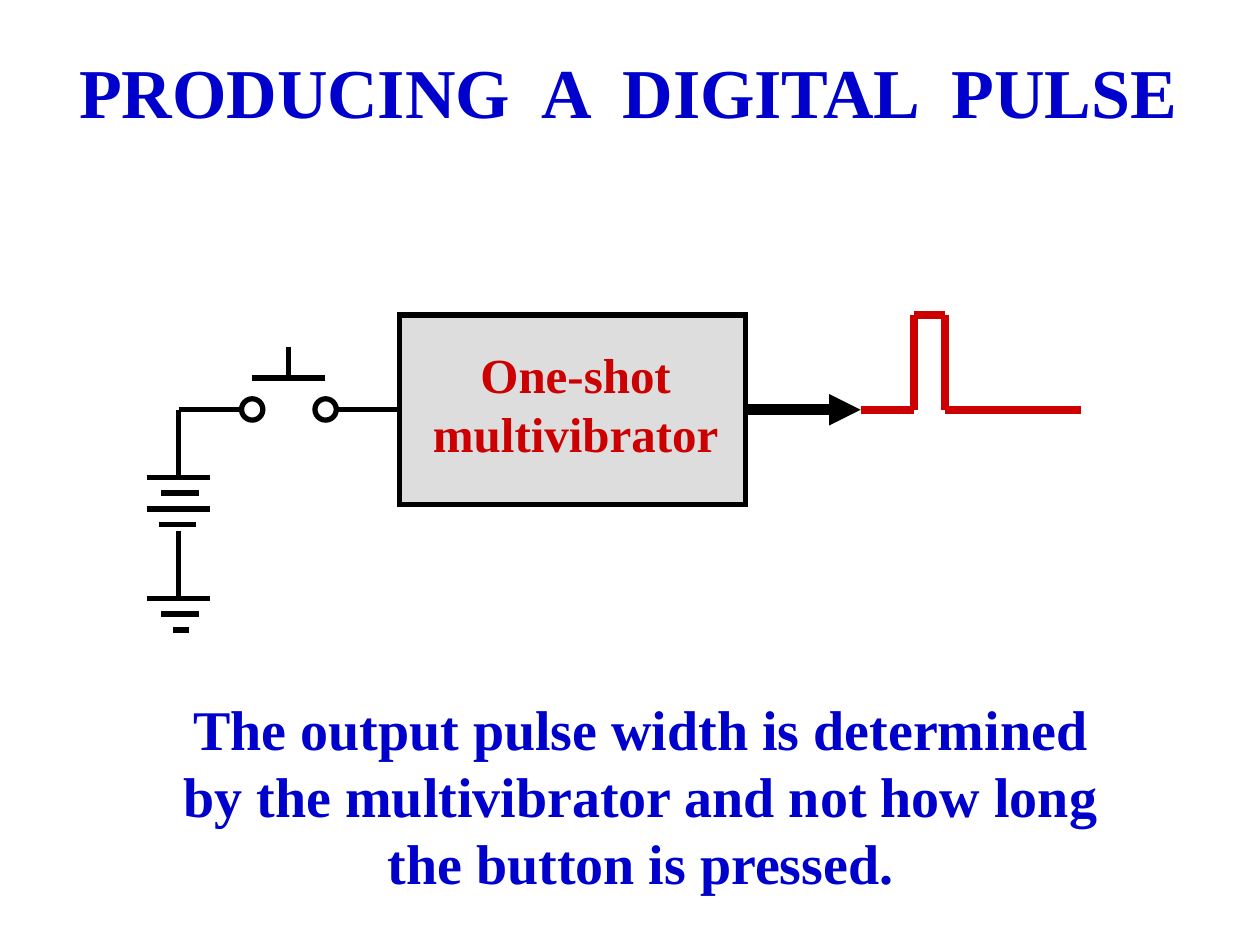
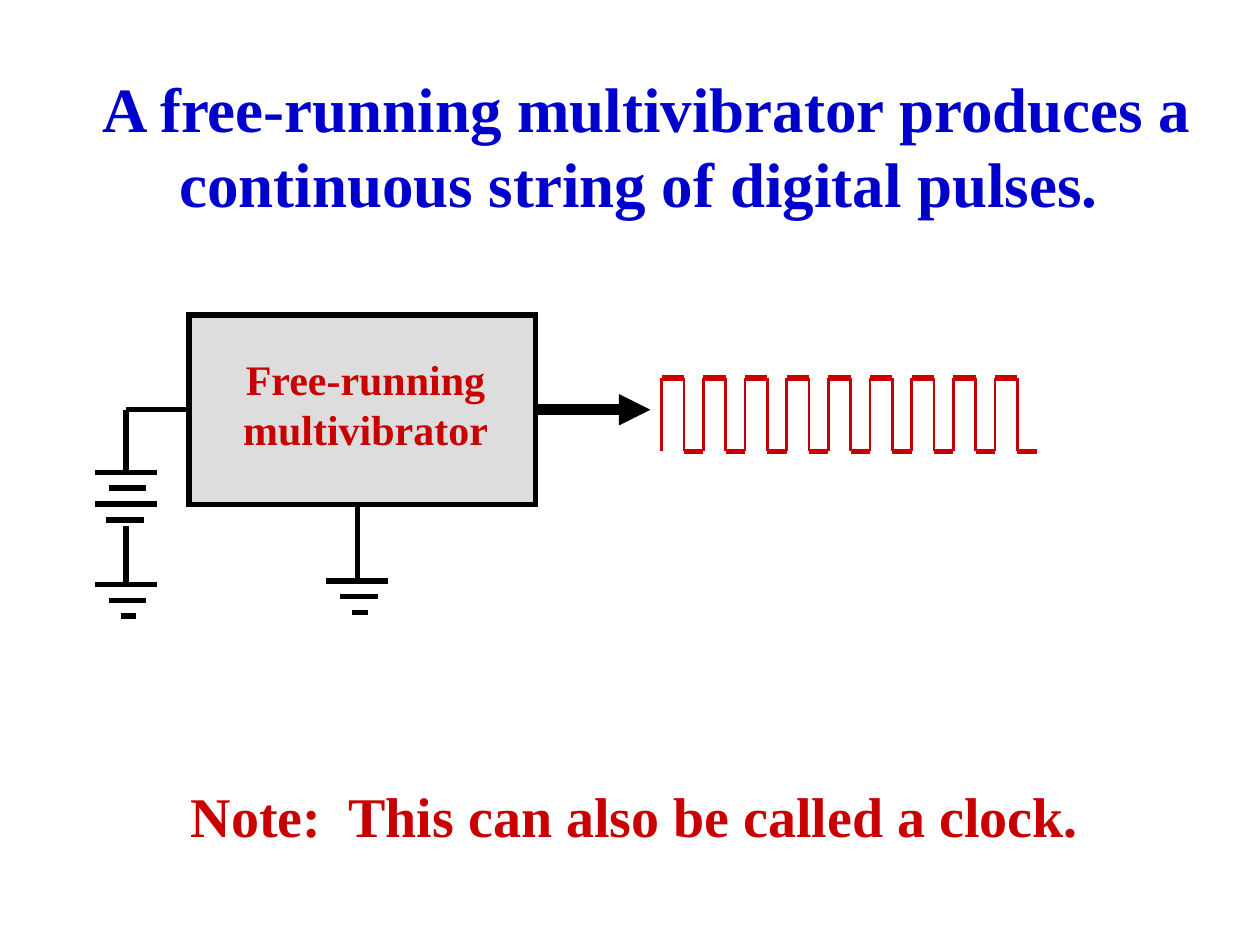
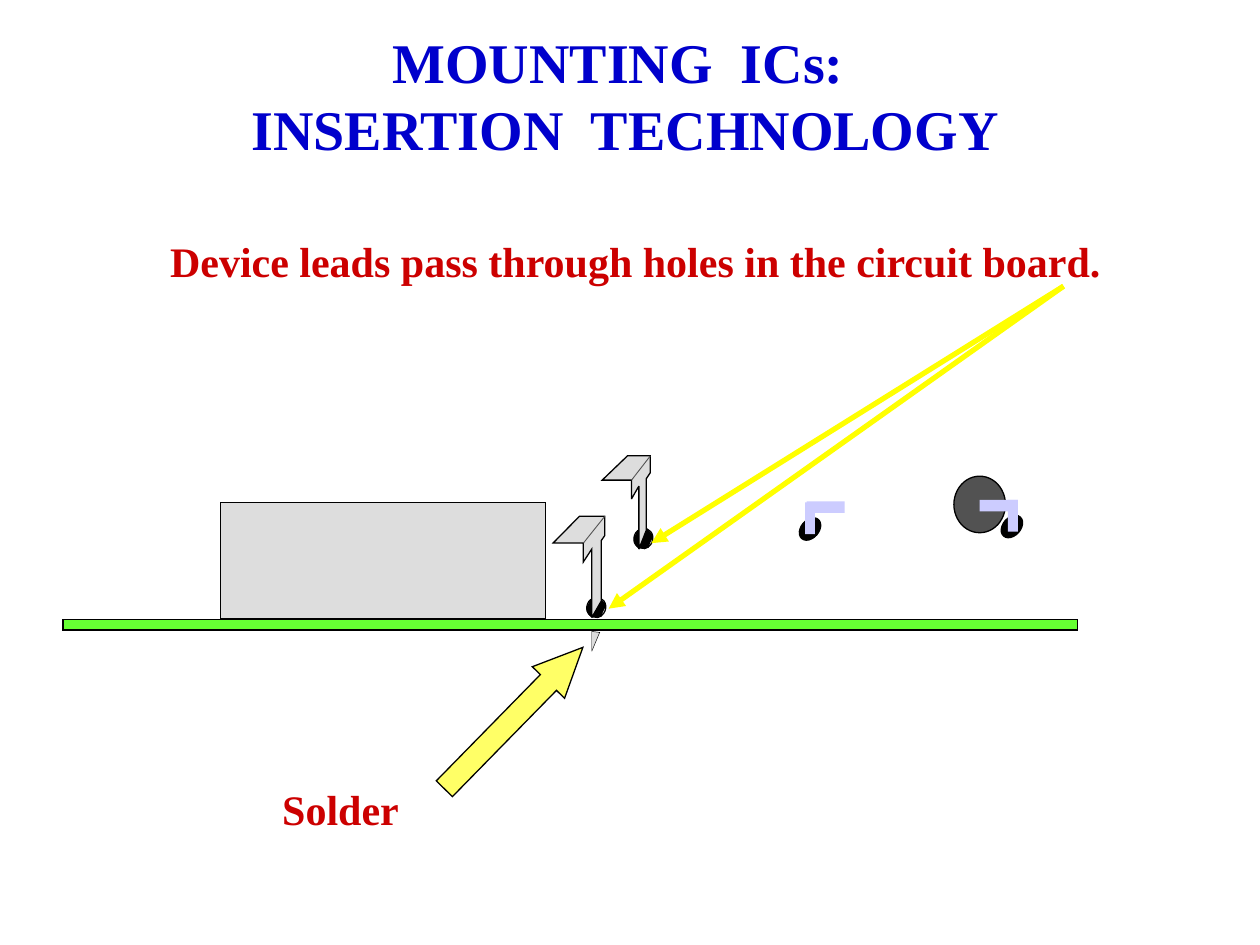
import itertools

import lxml.etree
import pptx
import pptx.dml.color
import pptx.enum.shapes
import pptx.enum.text
import pptx.oxml.ns
import pptx.util

Cm = pptx.util.Cm
RGBColor = pptx.dml.color.RGBColor
SHAPE = pptx.enum.shapes.MSO_SHAPE
ALIGN = pptx.enum.text.PP_ALIGN
ANCHOR = pptx.enum.text.MSO_ANCHOR

BLACK = RGBColor(0x00, 0x00, 0x00)
WHITE = RGBColor(0xFF, 0xFF, 0xFF)
BLUE = RGBColor(0x00, 0x00, 0xCC)
RED = RGBColor(0xCC, 0x00, 0x00)
DEEP_RED = RGBColor(0xC8, 0x00, 0x00)
LIGHT_GRAY = RGBColor(0xDD, 0xDD, 0xDD)
DARK_GRAY = RGBColor(0x52, 0x52, 0x52)
GREEN = RGBColor(0x66, 0xFF, 0x33)
YELLOW = RGBColor(0xFF, 0xFF, 0x00)
PALE_YELLOW = RGBColor(0xFF, 0xFF, 0x66)
LAVENDER = RGBColor(0xCC, 0xCC, 0xFF)

FONT = "Times New Roman"
TOP, LEFT, BOTTOM, RIGHT = range(4)
BAR_STEP = 0.32
LONG_BAR = (-0.63, 0.63)
SHORT_BAR = (-0.35, 0.41)
LAST_CELL_BAR = (-0.4, 0.36)
TINY_BAR = (-0.11, 0.21)
BATTERY = (LONG_BAR, SHORT_BAR, LONG_BAR, LAST_CELL_BAR)
GROUND = (LONG_BAR, SHORT_BAR, TINY_BAR)
SIGNAL_Y = 8.26


class Deck:
    def __init__(self):
        self.presentation = pptx.Presentation()
        self.presentation.slide_width = Cm(25.4)
        self.presentation.slide_height = Cm(19.05)
        self.slide = None

    def new_slide(self):
        self.slide = self.presentation.slides.add_slide(self.presentation.slide_layouts[6])

    def text(self, lines, left, top, width, height, size, color,
             align=ALIGN.CENTER, anchor=ANCHOR.MIDDLE, wrap=False):
        box = self.slide.shapes.add_textbox(Cm(left), Cm(top), Cm(width), Cm(height))
        frame = box.text_frame
        frame.word_wrap = wrap
        frame.auto_size = pptx.enum.text.MSO_AUTO_SIZE.SHAPE_TO_FIT_TEXT
        frame.vertical_anchor = anchor
        frame.text = "\n".join(lines)
        for paragraph in frame.paragraphs:
            paragraph.alignment = align
            paragraph.font.name = FONT
            paragraph.font.size = pptx.util.Pt(size)
            paragraph.font.bold = True
            paragraph.font.color.rgb = color

    def paint(self, shape, fill, line_width, rotation=0):
        shape.shadow.inherit = False
        shape.rotation = rotation
        if fill is None:
            shape.fill.background()
        else:
            shape.fill.solid()
            shape.fill.fore_color.rgb = fill
        if line_width:
            shape.line.color.rgb = BLACK
            shape.line.width = pptx.util.Pt(line_width)
            lxml.etree.SubElement(shape.line._get_or_add_ln(),
                                  pptx.oxml.ns.qn("a:miter"), lim="800000")
        else:
            shape.line.fill.background()
        return shape

    def shape(self, kind, left, top, width, height, fill, line_width=0.75, rotation=0):
        shape = self.slide.shapes.add_shape(kind, Cm(left), Cm(top), Cm(width), Cm(height))
        return self.paint(shape, fill, line_width, rotation)

    def outline(self, points, fill, line_width=0.75):
        start, *others = [(Cm(x), Cm(y)) for x, y in points]
        builder = self.slide.shapes.build_freeform(*start)
        builder.add_line_segments(others, close=True)
        return self.paint(builder.convert_to_shape(), fill, line_width)

    def line(self, start, end, color=BLACK, width=3, arrow=False):
        connector = self.slide.shapes.add_connector(
            pptx.enum.shapes.MSO_CONNECTOR.STRAIGHT, *map(Cm, start + end))
        connector.line.color.rgb = color
        connector.line.width = pptx.util.Pt(width)
        if arrow:
            lxml.etree.SubElement(connector.line._get_or_add_ln(),
                                  pptx.oxml.ns.qn("a:tailEnd"), type="triangle")
        lxml.etree.SubElement(connector._element.spPr, pptx.oxml.ns.qn("a:effectLst"))
        return connector

    def bars(self, center, top, spans):
        for index, (left, right) in enumerate(spans):
            y = top + index * BAR_STEP
            self.line((center + left, y), (center + right, y))

    def multivibrator(self, left, input_x):
        width = 6.98
        right = left + width
        box = self.shape(SHAPE.RECTANGLE, left, 6.35, width, 3.82, LIGHT_GRAY, 3)
        output = self.line((right, SIGNAL_Y), (right + 2.32, SIGNAL_Y), width=6, arrow=True)
        output.begin_connect(box, RIGHT)
        supply = self.line((input_x, SIGNAL_Y), (left, SIGNAL_Y))
        supply.end_connect(box, LEFT)

    def power_supply(self, x, battery_top, ground_top):
        self.line((x, battery_top), (x, SIGNAL_Y))
        self.bars(x, battery_top, BATTERY)
        self.line((x, ground_top), (x, battery_top + 3.4 * BAR_STEP))
        self.bars(x, ground_top, GROUND)

    def hole(self, dx, dy):
        self.shape(SHAPE.OVAL, 11.83 + dx, 12.04 + dy, 0.38, 0.41, None, rotation=20.9)
        right_part = [(12.09, 12.07), (11.96, 12.42), (12.04, 12.45), (12.12, 12.42),
                      (12.14, 12.34), (12.19, 12.24), (12.19, 12.17), (12.14, 12.12)]
        left_part = [(11.91, 12.09), (11.91, 12.42), (11.89, 12.4),
                     (11.84, 12.32), (11.84, 12.24), (11.89, 12.14)]
        for part in (right_part, left_part):
            self.outline([(x + dx, y + dy) for x, y in part], BLACK)


def one_shot_slide(deck):
    deck.new_slide()
    deck.text(["PRODUCING  A  DIGITAL  PULSE"], 0.97, 0.84, 23.39, 1.96, 40, BLUE)
    deck.multivibrator(8.05, 6.77)
    deck.text(["One-shot", "multivibrator"], 8.28, 6.81, 6.65, 2.64, 28, RED)

    pulse = [(17.35, SIGNAL_Y), (18.42, SIGNAL_Y), (18.42, 6.35),
             (19.05, 6.35), (19.05, SIGNAL_Y), (21.8, SIGNAL_Y)]
    for start, end in itertools.pairwise(pulse):
        deck.line(start, end, RED, 4.5)

    deck.line((3.6, SIGNAL_Y), (4.88, SIGNAL_Y))
    deck.power_supply(3.6, 9.62, 12.06)
    for contact_left in (4.87, 6.35):
        deck.shape(SHAPE.OVAL, contact_left, 8.04, 0.43, 0.43, WHITE, 3)
    deck.line((5.08, 7.62), (6.55, 7.62))
    deck.line((5.82, 7.62), (5.82, 6.99))

    deck.text(["The output pulse width is determined by the multivibrator "
               "and not how long the button is pressed."],
              3.18, 13.87, 19.48, 4.32, 32, BLUE, wrap=True)


def free_running_slide(deck):
    deck.new_slide()
    deck.text(["A free-running multivibrator produces a continuous string of digital pulses. "],
              1.07, 1.27, 23.93, 3.3, 36, BLUE, wrap=True)
    deck.multivibrator(3.81, 2.54)
    deck.text(["Free-running", "multivibrator"], 4.45, 6.99, 5.84, 2.29, 24, DEEP_RED)
    deck.power_supply(2.54, 9.52, 11.78)
    deck.line((7.2, 11.71), (7.2, 10.16))
    deck.bars(7.2, 11.71, GROUND)

    high, low, period, pulse_width = 7.62, 9.1, 0.84, 0.45
    for index in range(9):
        rise = 13.34 + index * period
        fall = rise + pulse_width
        deck.line((rise, low), (rise, high), DEEP_RED, 1.5)
        deck.line((rise, high), (fall, high), DEEP_RED)
        deck.line((fall, high), (fall, low), DEEP_RED, 1.5)
        deck.line((fall, low), (rise + period, low), DEEP_RED)

    deck.text(["Note:  This can also be called a clock."], 3.38, 15.62, 18.84, 1.63, 32, DEEP_RED)


def insertion_slide(deck):
    deck.new_slide()
    deck.shape(SHAPE.RECTANGLE, 1.27, 12.49, 20.45, 0.21, GREEN)
    deck.hole(0, 0)
    deck.hole(0.95, -1.39)
    deck.shape(SHAPE.RECTANGLE, 4.45, 10.13, 6.55, 2.34, LIGHT_GRAY)

    front_lead = [(11.15, 10.95), (11.68, 10.41), (12.19, 10.41), (12.19, 10.8), (12.12, 10.9),
                  (12.12, 12.12), (11.93, 12.45), (11.93, 11.07), (11.76, 11.33), (11.76, 10.95)]
    back_lead = [(12.14, 9.68), (12.65, 9.19), (13.11, 9.19), (13.11, 9.53), (13.03, 9.65),
                 (13.03, 10.69), (12.88, 11.07), (12.88, 9.8), (12.73, 10.06), (12.73, 9.68)]
    for lead in (front_lead, back_lead):
        deck.outline(lead, LIGHT_GRAY)
        deck.line(lead[-1], lead[2], DARK_GRAY, 0.5)
    deck.outline([(11.93, 12.73), (11.93, 13.13), (12.09, 12.75)], LIGHT_GRAY, 0.25)

    deck.text(["Solder"], 5.44, 15.67, 3.3, 1.27, 24, RED, ALIGN.LEFT, ANCHOR.TOP)
    solder_arrow = deck.shape(SHAPE.RIGHT_ARROW, 8.36, 14.02, 3.99, 0.91,
                              PALE_YELLOW, rotation=314.4)
    solder_arrow.adjustments[1] = 1.09
    deck.text(["MOUNTING  ICs: ", "INSERTION  TECHNOLOGY"], 4.58, 0.43, 16.05, 2.97, 32, BLUE,
              anchor=ANCHOR.TOP)
    deck.text(["Device leads pass through holes in the circuit board."],
              3.18, 4.62, 19.7, 1.27, 24, RED, ALIGN.LEFT, ANCHOR.TOP)
    for hole_edge in ((13.13, 10.95), (12.27, 12.27)):
        deck.line((21.44, 5.77), hole_edge, YELLOW, arrow=True)

    deck.shape(SHAPE.OVAL, 19.23, 9.6, 1.04, 1.14, DARK_GRAY)
    for arm_left, arm_top, hole_left, hole_top, leg_left, leg_top in (
            (16.26, 10.11, 16.15, 10.41, 16.23, 10.13),
            (19.75, 10.08, 20.22, 10.36, 20.32, 10.08)):
        deck.shape(SHAPE.RECTANGLE, arm_left, arm_top, 0.77, 0.23, LAVENDER, 0)
        deck.shape(SHAPE.OVAL, hole_left, hole_top, 0.36, 0.51, BLACK, rotation=41)
        deck.shape(SHAPE.RECTANGLE, leg_left, leg_top, 0.2, 0.64, LAVENDER, 0)


def main():
    deck = Deck()
    one_shot_slide(deck)
    free_running_slide(deck)
    insertion_slide(deck)
    deck.presentation.save("out.pptx")


if __name__ == "__main__":
    main()
